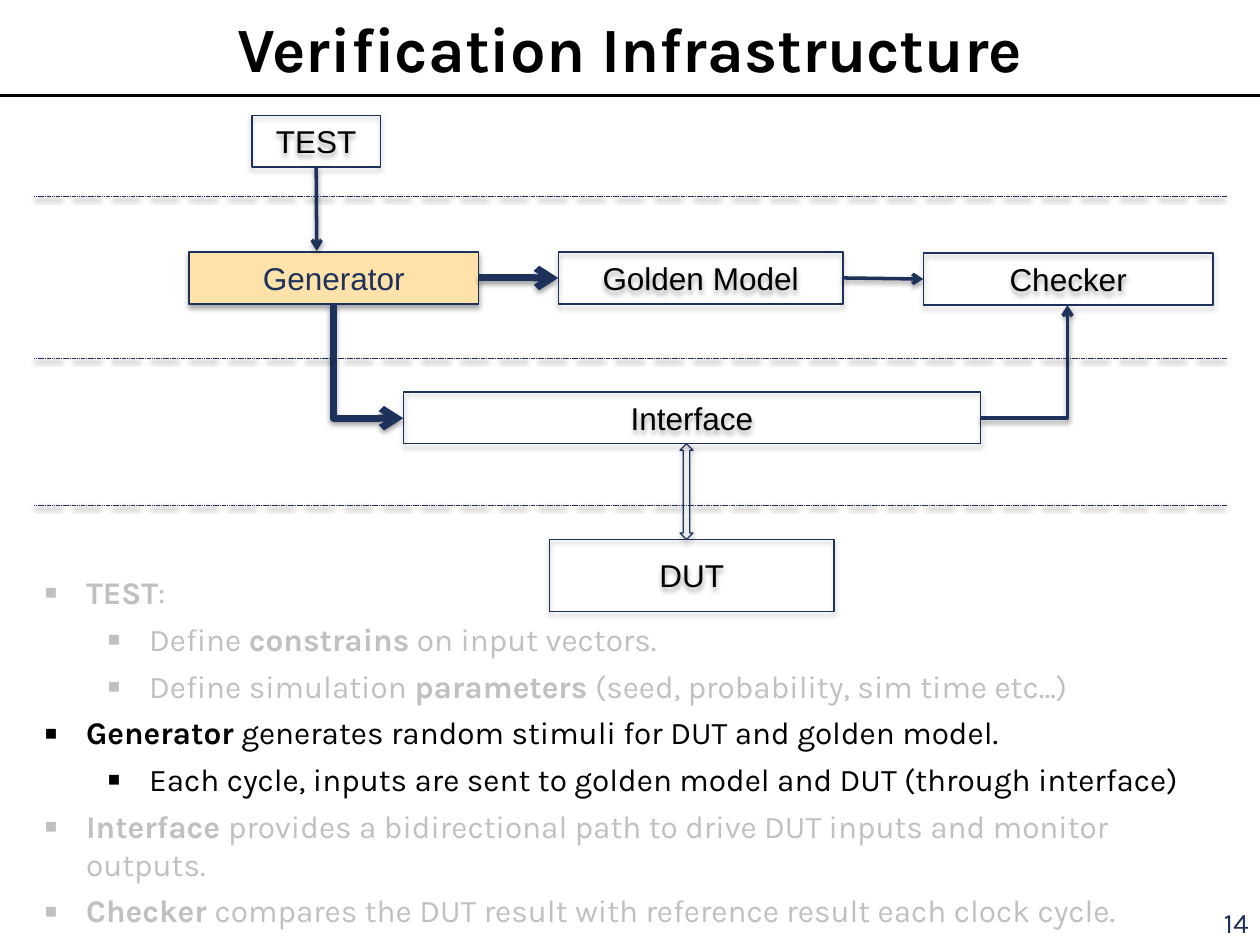
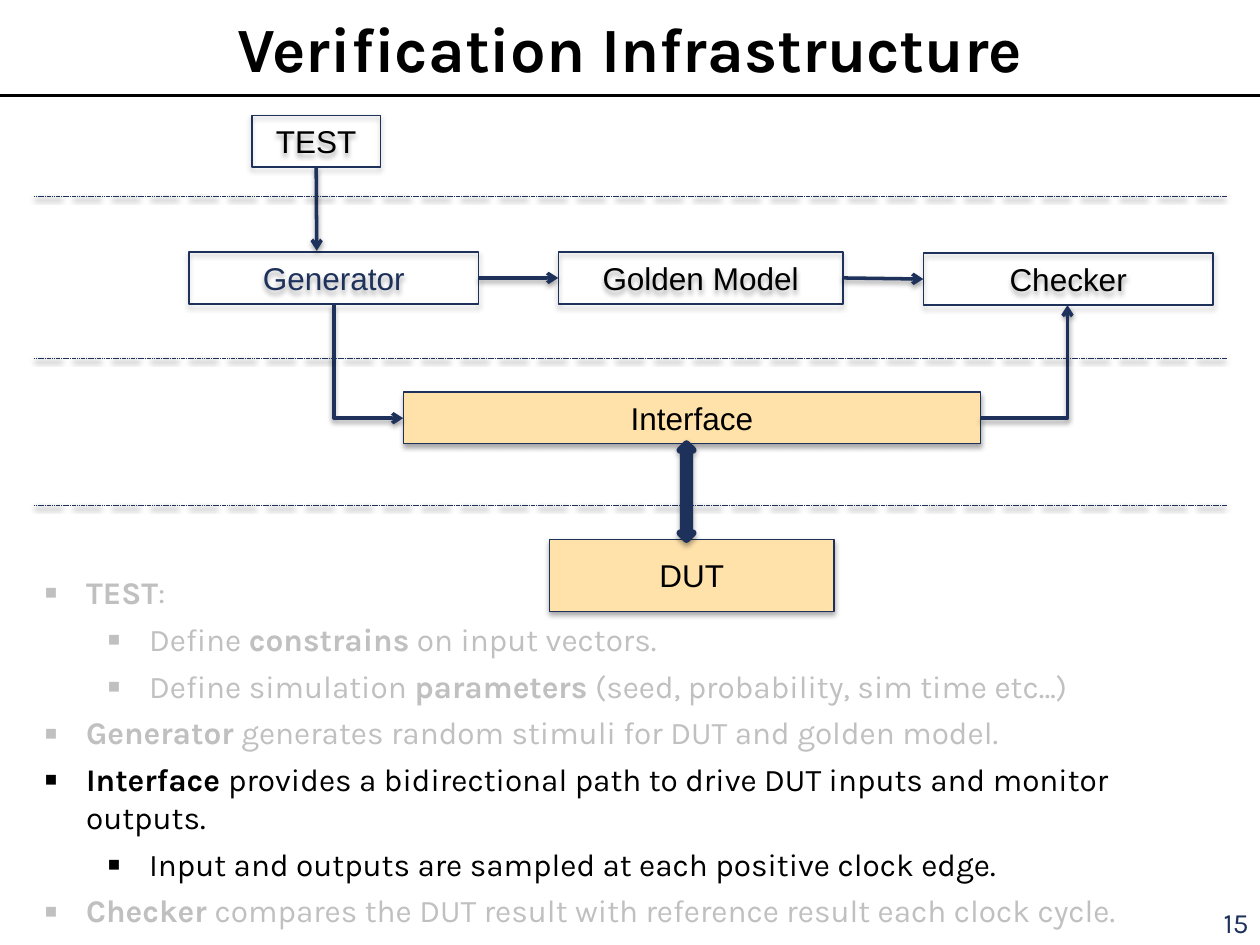
from lxml import etree
from pptx import Presentation
from pptx.dml.color import RGBColor
from pptx.enum.dml import MSO_LINE
from pptx.enum.shapes import MSO_CONNECTOR, MSO_SHAPE
from pptx.enum.text import MSO_ANCHOR, MSO_AUTO_SIZE, PP_ALIGN
from pptx.oxml.ns import qn
from pptx.util import Pt

RECTANGLE, UP_DOWN_ARROW = MSO_SHAPE.RECTANGLE, MSO_SHAPE.UP_DOWN_ARROW
STRAIGHT, ELBOW = MSO_CONNECTOR.STRAIGHT, MSO_CONNECTOR.ELBOW
SYSTEM_DASH = MSO_LINE.SQUARE_DOT
CENTER, LEFT, RIGHT = PP_ALIGN.CENTER, PP_ALIGN.LEFT, PP_ALIGN.RIGHT
MIDDLE, TOP = MSO_ANCHOR.MIDDLE, MSO_ANCHOR.TOP
NO_AUTOFIT = MSO_AUTO_SIZE.NONE

NAVY = RGBColor(0x1D, 0x31, 0x5B)
BLACK = RGBColor(0, 0, 0)
GRAY = RGBColor(0xC0, 0xC0, 0xC0)
HIGHLIGHT = RGBColor(0xFF, 0xE2, 0xAA)

TITLE = "Verification Infrastructure"
BOXES = {
    "Generator": (108, 144, 165.6, 29.7),
    "Interface": (230.4, 224, 330, 29.5),
    "DUT": (314, 308.3, 162.7, 41),
    "Checker": (527.6, 144.6, 165.6, 29.7),
    "Golden Model": (319, 144, 162.7, 29.7),
    "TEST": (144, 66, 73.4, 29.5),
}
LAYER_BORDERS = (112, 204.6, 288.7)
TOPICS = [
    ("TEST", "*TEST*:",
     ["Define *constrains* on input vectors.",
      "Define simulation *parameters* (seed, probability, sim time etc…)"]),
    ("Generator", "*Generator* generates random stimuli for DUT and golden model.", []),
    ("Interface", "*Interface *provides a bidirectional path to drive DUT inputs "
                  "and monitor outputs.", []),
    ("Checker", "*Checker *compares the DUT result with reference result each clock cycle.", []),
]
PAGES = [
    (14, "Generator", {"Generator"},
     "Each cycle, inputs are sent to golden model and DUT (through interface)"),
    (15, "Interface", {"Interface", "DUT"},
     "Input and outputs are sampled at each positive clock edge."),
]


class Deck:
    """Holds the shared style and draws elements on the current slide."""

    heading_font = "Karla"
    box_font = "Arial"

    def __init__(self):
        self.presentation = Presentation()
        self.presentation.slide_width = Pt(720)
        self.presentation.slide_height = Pt(540)
        self.slide = None

    def start_slide(self, title, number):
        layout = self.presentation.slide_layouts[1]
        self.slide = self.presentation.slides.add_slide(layout)
        self.line((0, 54.7), (720, 54.7), BLACK, 2, shadow=False)
        shape = self.slide.shapes.title
        self.place(shape, 0, 0, 720, 54)
        self.text(shape, title, 36, self.heading_font, BLACK, CENTER, MIDDLE, bold=True)
        self.set_margins(shape, 6.5, 3)
        shape = self.slide.shapes.add_textbox(Pt(660), Pt(518.4), Pt(60), Pt(21.6))
        self.text(shape, str(number), 16, self.heading_font, NAVY, RIGHT, TOP)
        self.set_margins(shape, 6.5, 3)
        shape.text_frame.paragraphs[0].line_spacing = 0.8

    def place(self, shape, left, top, width, height):
        shape.left, shape.top = Pt(left), Pt(top)
        shape.width, shape.height = Pt(width), Pt(height)

    def set_margins(self, shape, side, edge):
        frame = shape.text_frame
        frame.margin_left = frame.margin_right = Pt(side)
        frame.margin_top = frame.margin_bottom = Pt(edge)

    def format_run(self, run, size, font, color, bold=False):
        run.font.size = Pt(size)
        run.font.name = font
        run.font.bold = bold
        run.font.color.rgb = color

    def text(self, shape, text, size, font, color, alignment, anchor, bold=False):
        frame = shape.text_frame
        frame.text = text
        frame.word_wrap = True
        frame.auto_size = NO_AUTOFIT
        frame.vertical_anchor = anchor
        paragraph = frame.paragraphs[0]
        paragraph.alignment = alignment
        self.format_run(paragraph.runs[0], size, font, color, bold)

    def effects(self, shape, opacity=None, distance=0):
        properties = shape.element.spPr
        effects = properties.find(qn("a:effectLst"))
        if effects is None:
            effects = etree.SubElement(properties, qn("a:effectLst"))
        if opacity:
            shadow = etree.SubElement(
                effects, qn("a:outerShdw"), blurRad=str(Pt(3.1)), dist=str(Pt(distance)),
                dir="5400000", rotWithShape="0")
            color = etree.SubElement(shadow, qn("a:srgbClr"), val=str(BLACK))
            etree.SubElement(color, qn("a:alpha"), val=str(opacity * 1000))

    def shape(self, kind, bounds, fill=None, line_width=0.75):
        shape = self.slide.shapes.add_shape(kind, *map(Pt, bounds))
        if fill:
            shape.fill.solid()
            shape.fill.fore_color.rgb = fill
        else:
            shape.fill.background()
        shape.line.color.rgb = NAVY
        shape.line.width = Pt(line_width)
        shape.shadow.inherit = False
        self.effects(shape, 35, 1.8)
        return shape

    def box(self, label, bounds, highlighted):
        shape = self.shape(RECTANGLE, bounds, HIGHLIGHT if highlighted else None)
        color = NAVY if label == "Generator" else BLACK
        self.text(shape, label, 18, self.box_font, color, CENTER, MIDDLE)
        return shape

    def line(self, start, end, color=NAVY, width=2.0, kind=STRAIGHT, arrow=None,
             dash=None, shadow=True):
        connector = self.slide.shapes.add_connector(kind, *map(Pt, start + end))
        connector.line.color.rgb = color
        connector.line.width = Pt(width)
        if dash:
            connector.line.dash_style = dash
        if arrow:
            etree.SubElement(connector.get_or_add_ln(), qn(arrow), type="arrow")
        if kind == ELBOW:
            connector.element.spPr.find(qn("a:prstGeom")).set("prst", "bentConnector2")
        if shadow:
            self.effects(connector, 38, 1.6)
        else:
            self.effects(connector)
        return connector

    def join(self, source, target, width=2.0):
        connector = self.line((0, 0), (1, 1), width=width, arrow="a:tailEnd")
        connector.begin_connect(source, 3)
        connector.end_connect(target, 1)

    def bullets(self, items):
        shape = self.slide.placeholders[1]
        self.place(shape, 18, 324, 690, 193)
        self.set_margins(shape, 7.2, 3.6)
        frame = shape.text_frame
        frame.word_wrap = True
        frame.auto_size = NO_AUTOFIT
        for index, (level, text, color) in enumerate(items):
            paragraph = frame.add_paragraph() if index else frame.paragraphs[0]
            paragraph.level = level
            paragraph.alignment = LEFT
            paragraph.space_before = Pt(5.1 if index else 0)
            properties = paragraph._p.get_or_add_pPr()
            properties.set("marL", str(Pt(24 + 36 * level)))
            properties.set("indent", str(Pt(-24)))
            etree.SubElement(properties, qn("a:buSzPct"), val="125000")
            etree.SubElement(properties, qn("a:buChar"), char="▪")
            for part, words in enumerate(text.split("*")):
                if words:
                    run = paragraph.add_run()
                    run.text = words
                    self.format_run(run, 18, self.heading_font, color, part % 2 == 1)


def draw_diagram(deck, focus, highlighted):
    boxes = {label: deck.box(label, bounds, label in highlighted)
             for label, bounds in BOXES.items()}
    stimulus_width = 4 if focus == "Generator" else 2
    bus_width = 4 if focus == "Interface" else 0.75
    test_arrow = deck.line((181, 95.5), (181, 143.3), arrow="a:tailEnd")
    test_arrow.begin_connect(boxes["TEST"], 2)
    deck.join(boxes["Generator"], boxes["Golden Model"], stimulus_width)
    deck.join(boxes["Golden Model"], boxes["Checker"])
    deck.line((230.4, 239), (190.8, 174), width=stimulus_width, kind=ELBOW, arrow="a:headEnd")
    deck.line((560.4, 239), (610, 174.4), kind=ELBOW, arrow="a:tailEnd")
    for top in LAYER_BORDERS:
        deck.line((19.5, top), (701, top), width=0.25, dash=SYSTEM_DASH)
    deck.shape(UP_DOWN_ARROW, (388.6, 253.6, 7.4, 54.7), line_width=bus_width)


def list_items(focus, detail):
    items = []
    for topic, text, details in TOPICS:
        color = BLACK if topic == focus else GRAY
        items.append((0, text, color))
        extra = [detail] if topic == focus else []
        items += [(1, line, color) for line in details + extra]
    return items


def main():
    deck = Deck()
    for number, focus, highlighted, detail in PAGES:
        deck.start_slide(TITLE, number)
        draw_diagram(deck, focus, highlighted)
        deck.bullets(list_items(focus, detail))
    deck.presentation.save("out.pptx")


if __name__ == "__main__":
    main()
